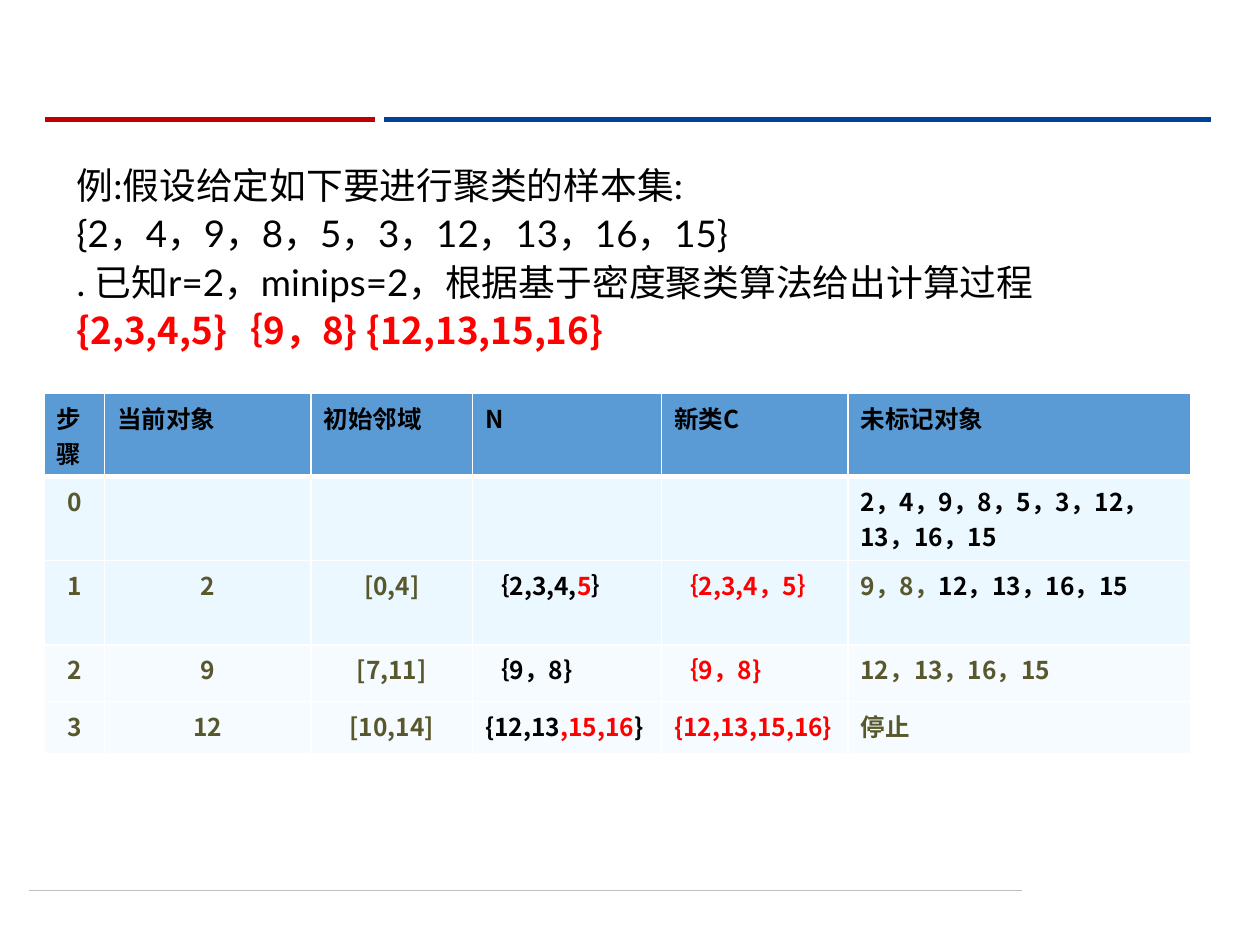
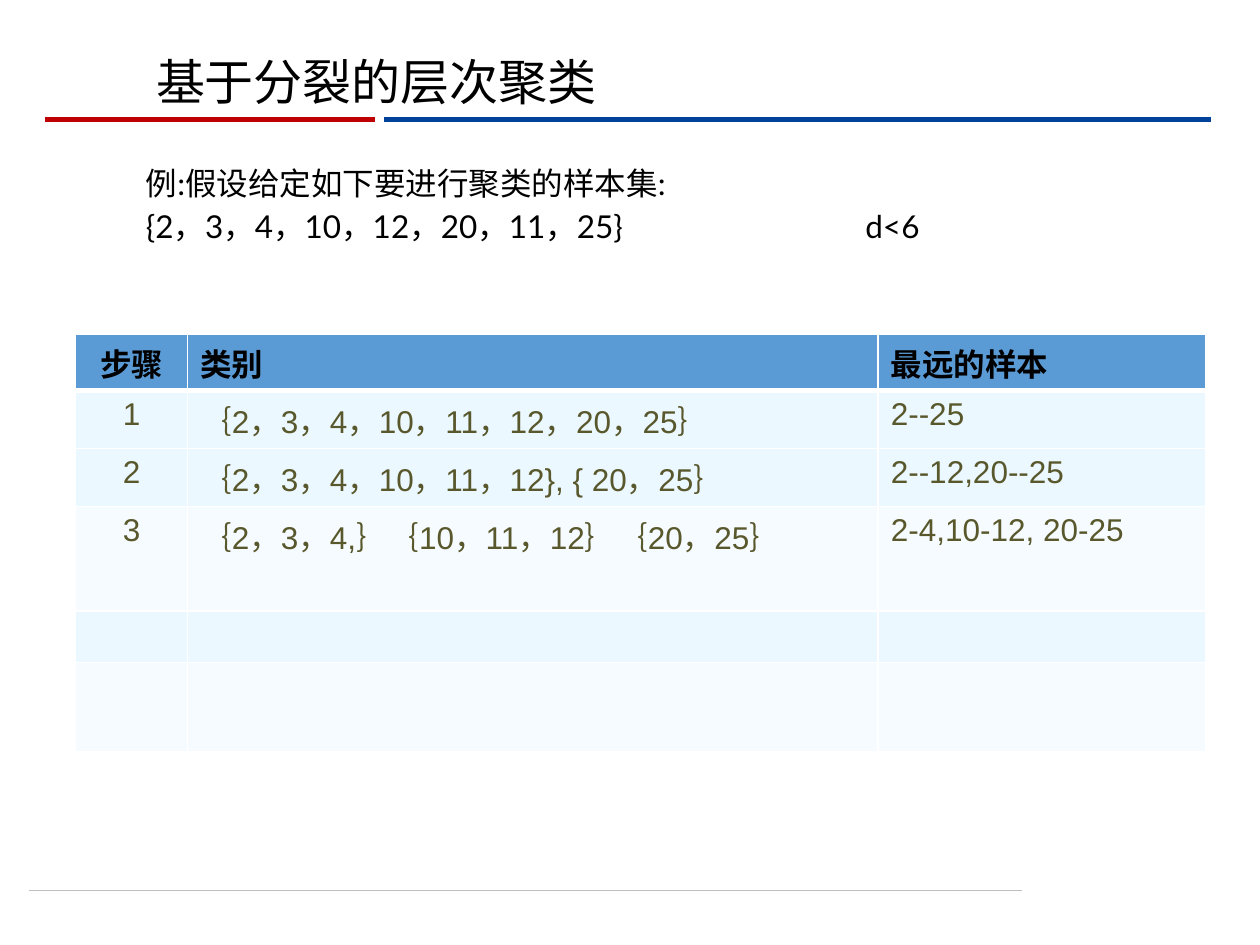
from dataclasses import dataclass

from lxml import etree
from pptx import Presentation
from pptx.dml.color import RGBColor
from pptx.enum.shapes import MSO_CONNECTOR
from pptx.enum.text import PP_ALIGN
from pptx.oxml.ns import qn
from pptx.util import Inches, Pt

LEFT, CENTER = PP_ALIGN.LEFT, PP_ALIGN.CENTER
STRAIGHT = MSO_CONNECTOR.STRAIGHT


@dataclass(frozen=True)
class Theme:
    black: str = "000000"
    white: str = "FFFFFF"
    red: str = "FF0000"
    olive: str = "59582D"
    rule_red: str = "C00000"
    rule_blue: str = "004299"
    rule_grey: str = "BFBFBF"
    header: str = "5B9BD5"
    band: str = "ECF8FF"
    pale: str = "F6FBFF"
    cjk: str = "Noto Sans CJK SC"
    body: str = "Lato"
    sans: str = "Arial"
    title_size: int = 28
    intro_large: int = 21
    intro_small: int = 18
    table_large: int = 18
    table_small: int = 14


T = Theme()

prs = Presentation()
prs.slide_width, prs.slide_height = Inches(10), Inches(7.5)
COL = prs.slide_width / 100
ROW = prs.slide_height / 75


def write(p, content, size, font, color, bold=False, align=LEFT):
    """Fill a paragraph from a string or from (text, colour) runs."""
    runs = [(content, color)] if isinstance(content, str) else content
    for text, run_color in runs:
        r = p.add_run()
        r.text = text
        if len(runs) > 1:
            r.font.color.rgb = RGBColor.from_string(run_color)
    p.alignment = align
    p.font.size, p.font.name, p.font.bold = Pt(size), font, bold
    p.font.color.rgb = RGBColor.from_string(runs[0][1])
    ea = etree.SubElement(p._p.pPr.find(qn("a:defRPr")), qn("a:ea"))
    ea.set("typeface", T.cjk)


def style_cell(cell, fill, top, bottom):
    """Draw white borders (top and bottom widths in points), then the fill."""
    tc_pr = cell._tc.get_or_add_tcPr()
    for side, width in (("L", 1), ("R", 1), ("T", top), ("B", bottom)):
        ln = etree.SubElement(tc_pr, qn(f"a:ln{side}"), w=str(Pt(width)))
        solid = etree.SubElement(ln, qn("a:solidFill"))
        etree.SubElement(solid, qn("a:srgbClr"), val=T.white)
    cell.fill.solid()
    cell.fill.fore_color.rgb = RGBColor.from_string(fill)


# x1, x2 in columns, y in rows
RULES = [
    (2.3, 81.1, 70.7, T.rule_grey, 0.5),
    (30.5, 96.1, 9.5, T.rule_blue, 3),
    (3.6, 29.8, 9.5, T.rule_red, 3),
]

SLIDES = [
    dict(
        title=None,
        intro_at=(5.1, 13.1, 86.2, 15.6),
        intro_size=T.intro_large,
        intro=["例:假设给定如下要进行聚类的样本集:",
               "{2，4，9，8，5，3，12，13，16，15}",
               ". 已知r=2，minips=2，根据基于密度聚类算法给出计算过程"],
        answer="{2,3,4,5}｛9，8} {12,13,15,16}",
        table_at=(3.5, 31.2),
        cols=[4.8, 16.4, 12.8, 15, 14.8, 27.2],
        rows=[6.6, 6.7, 6.7, 4.5, 4.1],
        fills=[T.header, T.band, T.band, T.pale, T.pale],
        size=T.table_small, font=T.cjk, bold=True,
        centered=3, header_centered=0,
        cells=[
            ["步骤", "当前对象", "初始邻域", "N", "新类C", "未标记对象"],
            ["0", "", "", "", "", [("2，4，9，8，5，3，12，13，16，15", T.black)]],
            ["1", "2", "[0,4]",
             [("｛2,3,4,", T.black), ("5", T.red), ("｝", T.black)],
             [("｛2,3,4，5｝", T.red)],
             [("9，8，", T.olive), ("12，13，16，15", T.black)]],
            ["2", "9", "[7,11]", [("｛9，8}", T.black)], [("｛9，8}", T.red)],
             "12，13，16，15"],
            ["3", "12", "[10,14]",
             [("{12,13", T.black), (",15,16", T.red), ("}", T.black)],
             [("{12,13,15,16}", T.red)], "停止"],
        ],
    ),
    dict(
        title="基于分裂的层次聚类",
        intro_at=(10.6, 13.1, 86.2, 8.8),
        intro_size=T.intro_small,
        intro=["例:假设给定如下要进行聚类的样本集:",
               "{2，3，4，10，12，20，11，25}\td<6"],
        answer=None,
        table_at=(6, 26.5),
        cols=[8.9, 54.8, 26],
        rows=[4.5, 4.6, 4.6, 8.3, 4.1, 7.1],
        fills=[T.header, T.band, T.band, T.pale, T.band, T.pale],
        size=T.table_large, font=T.sans, bold=False,
        centered=1, header_centered=1,
        cells=[
            ["步骤", "类别", "最远的样本"],
            ["1", "｛2，3，4，10，11，12，20，25｝", "2--25"],
            ["2", "｛2，3，4，10，11，12}, { 20，25｝", "2--12,20--25"],
            ["3", "｛2，3，4,｝｛10，11，12｝｛20，25｝", "2-4,10-12, 20-25"],
            ["", "", ""],
            ["", "", ""],
        ],
    ),
]
TAB_STOP = 57.1

for d in SLIDES:
    s = prs.slides.add_slide(prs.slide_layouts[6])

    for x1, x2, y, color, width in RULES:
        rule = s.shapes.add_connector(
            STRAIGHT, int(x1 * COL), int(y * ROW), int(x2 * COL), int(y * ROW))
        rule.line.color.rgb = RGBColor.from_string(color)
        rule.line.width = Pt(width)
        etree.SubElement(rule._element.spPr, qn("a:effectLst"))

    if d["title"]:
        title = s.shapes.add_textbox(
            int(11.4 * COL), int(3.6 * ROW), int(37 * COL), int(5.7 * ROW))
        title.text_frame.word_wrap = False
        write(title.text_frame.paragraphs[0], d["title"], T.title_size, T.cjk, T.black)

    x, y, w, h = d["intro_at"]
    tf = s.shapes.add_textbox(
        int(x * COL), int(y * ROW), int(w * COL), int(h * ROW)).text_frame
    tf.word_wrap = True
    lines = [(text, T.body, T.black, False) for text in d["intro"]]
    if d["answer"]:
        lines.append((d["answer"], T.cjk, T.red, True))
    for i, (text, font, color, bold) in enumerate(lines):
        p = tf.add_paragraph() if i else tf.paragraphs[0]
        p.line_spacing = 0.8
        if i:
            p.space_before = Pt(7.5)
        if "\t" in text:
            tabs = etree.SubElement(p._p.get_or_add_pPr(), qn("a:tabLst"))
            etree.SubElement(tabs, qn("a:tab"), pos=str(int(TAB_STOP * COL)), algn="l")
        write(p, text, d["intro_size"], font, color, bold)

    x, y = d["table_at"]
    table = s.shapes.add_table(
        len(d["rows"]), len(d["cols"]), int(x * COL), int(y * ROW),
        int(sum(d["cols"]) * COL), int(sum(d["rows"]) * ROW)).table
    table.horz_banding = False
    for column, width in zip(table.columns, d["cols"]):
        column.width = int(width * COL)
    for i, (height, fill, contents) in enumerate(zip(d["rows"], d["fills"], d["cells"])):
        table.rows[i].height = int(height * ROW)
        header = i == 0
        centered = d["header_centered"] if header else d["centered"]
        for j, content in enumerate(contents):
            cell = table.cell(i, j)
            style_cell(cell, fill, top=3 if i == 1 else 1, bottom=3 if header else 1)
            if content:
                write(cell.text_frame.paragraphs[0], content, d["size"], d["font"],
                      T.black if header else T.olive, header or d["bold"],
                      CENTER if j < centered else LEFT)

prs.save("out.pptx")
